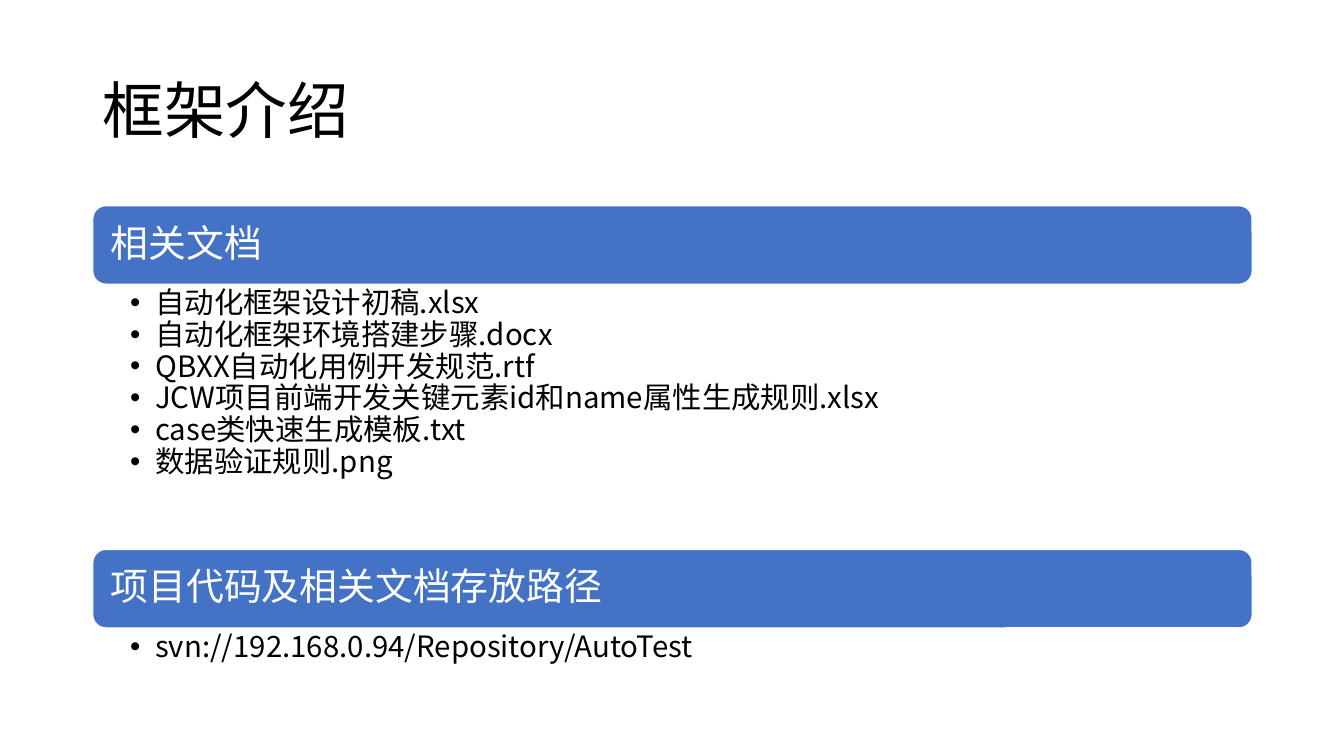
from lxml import etree
from pptx import Presentation
from pptx.dml.color import RGBColor
from pptx.enum import shapes, text
from pptx.oxml.ns import qn
from pptx.util import Inches, Pt

FONT = "Noto Sans CJK SC"
BLACK = RGBColor(0x00, 0x00, 0x00)
WHITE = RGBColor(0xFF, 0xFF, 0xFF)
BLUE = RGBColor(0x44, 0x72, 0xC4)

LEFT, WIDTH, BAR_HEIGHT = 0.92, 11.5, 0.78

# Heading, top of its bar, height of its list, list items
SECTIONS = [
    ("相关文档", 2.04, 2.63, [
        "自动化框架设计初稿.xlsx",
        "自动化框架环境搭建步骤.docx",
        "QBXX自动化用例开发规范.rtf",
        "JCW项目前端开发关键元素id和name属性生成规则.xlsx",
        "case类快速生成模板.txt",
        "数据验证规则.png",
    ]),
    ("项目代码及相关文档存放路径", 5.45, 0.49, [
        "svn://192.168.0.94/Repository/AutoTest",
    ]),
]


def set_frame(tf, anchor, left, top, right, bottom):
    tf.word_wrap = True
    tf.vertical_anchor = anchor
    tf.margin_left, tf.margin_top = Inches(left), Inches(top)
    tf.margin_right, tf.margin_bottom = Inches(right), Inches(bottom)


def add_run(p, words, size, color):
    p.alignment = text.PP_ALIGN.LEFT
    p.line_spacing = 0.9
    r = p.add_run()
    r.text = words
    r.font.size = Pt(size)
    r.font.color.rgb = color
    r.font.name = FONT
    # East Asian typeface
    etree.SubElement(r._r.get_or_add_rPr(), qn("a:ea")).set("typeface", FONT)


def add_bullet(p):
    pPr = p._p.get_or_add_pPr()
    pPr.set("marL", str(Inches(0.25)))
    pPr.set("indent", str(Inches(-0.25)))
    etree.SubElement(pPr, qn("a:buFont")).set("typeface", "Arial")
    etree.SubElement(pPr, qn("a:buChar")).set("char", "•")


def add_title(s, words):
    sp = s.shapes.add_textbox(Inches(LEFT), Inches(0.4), Inches(WIDTH), Inches(1.45))
    tf = sp.text_frame
    set_frame(tf, text.MSO_ANCHOR.MIDDLE, 0.1, 0.05, 0.1, 0.05)
    add_run(tf.paragraphs[0], words, 44, BLACK)


def add_bar(s, words, top):
    sp = s.shapes.add_shape(shapes.MSO_SHAPE.ROUNDED_RECTANGLE, Inches(LEFT),
                            Inches(top), Inches(WIDTH), Inches(BAR_HEIGHT))
    sp.shadow.inherit = False
    sp.fill.solid()
    sp.fill.fore_color.rgb = BLUE
    sp.line.color.rgb = WHITE
    sp.line.width = Pt(1)
    tf = sp.text_frame
    set_frame(tf, text.MSO_ANCHOR.MIDDLE, 0.14, 0.11, 0.14, 0.11)
    add_run(tf.paragraphs[0], words, 27, WHITE)


def add_list(s, items, top, height):
    sp = s.shapes.add_textbox(Inches(LEFT), Inches(top), Inches(WIDTH), Inches(height))
    tf = sp.text_frame
    set_frame(tf, text.MSO_ANCHOR.TOP, 0.37, 0.04, 0.21, 0.04)
    for i, item in enumerate(items):
        p = tf.add_paragraph() if i else tf.paragraphs[0]
        p.level = 1
        add_bullet(p)
        add_run(p, item, 21, BLACK)


def main():
    prs = Presentation()
    prs.slide_width, prs.slide_height = Inches(13.33), Inches(7.5)
    s = prs.slides.add_slide(prs.slide_layouts[6])

    add_title(s, "框架介绍")

    # Each section is a heading bar with its list directly below
    for heading, top, list_height, items in SECTIONS:
        add_bar(s, heading, top)
        add_list(s, items, top + BAR_HEIGHT, list_height)

    prs.save("out.pptx")


if __name__ == "__main__":
    main()
